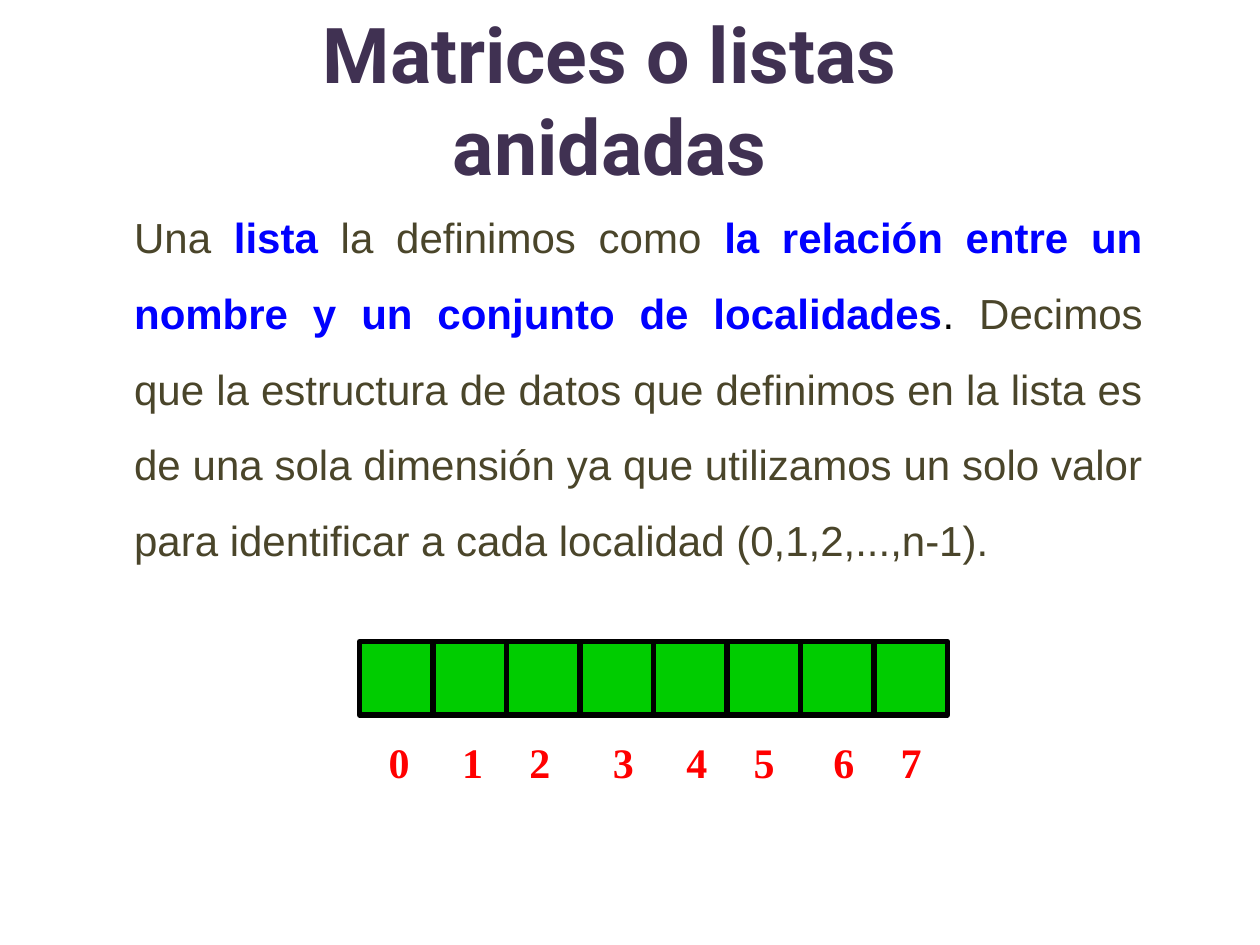
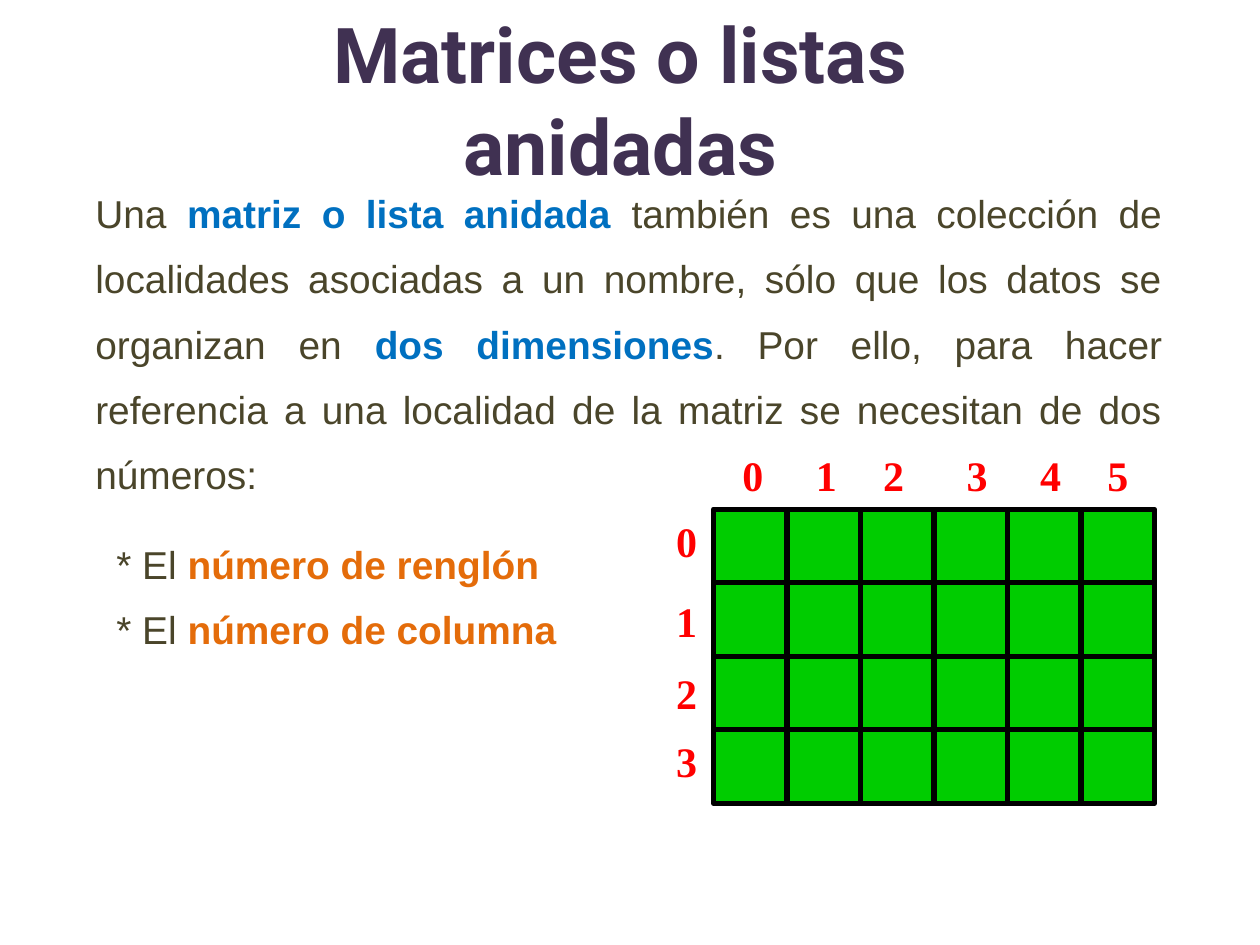
from dataclasses import dataclass

from pptx import Presentation
from pptx.dml.color import RGBColor
from pptx.enum.shapes import MSO_SHAPE
from pptx.enum.text import MSO_ANCHOR, MSO_AUTO_SIZE, PP_ALIGN
from pptx.util import Inches, Pt

COLUMNS, ROWS = 120, 90
CELL = 7
COLUMN_LABEL_SHIFTS = (1.56, 1.56, 0.96, 1.92, 1.92, 1.32, 1.92, 1.32)
ROW_LABEL_SHIFTS = (0, 0.6, 0.48, 0)
TITLE = "Matrices o listas anidadas"


@dataclass(frozen=True)
class Theme:
    title: str = "403152"
    body: str = "4A452A"
    black: str = "000000"
    white: str = "FFFFFF"
    list_term: str = "0000FF"
    matrix_term: str = "0070C0"
    index_term: str = "E46C0A"
    cell: str = "00CC00"
    index: str = "FF0000"
    title_font: str = "Roboto"
    body_font: str = "Arial"
    index_font: str = "Times New Roman"
    title_size: float = 44
    list_size: float = 24
    matrix_size: float = 22.2
    index_size: float = 24
    border: float = 3


class Deck:
    def __init__(self, theme):
        self.theme = theme
        self.presentation = Presentation()
        self.presentation.slide_width = Inches(10)
        self.presentation.slide_height = Inches(7.5)
        self.slide = None

    def add_slide(self):
        layout = self.presentation.slide_layouts[6]
        self.slide = self.presentation.slides.add_slide(layout)

    def place(self, column, row, width, height):
        column_width = self.presentation.slide_width / COLUMNS
        row_height = self.presentation.slide_height / ROWS
        return (round(column * column_width), round(row * row_height),
                round(width * column_width), round(height * row_height))

    def text_frame(self, *area):
        shape = self.slide.shapes.add_textbox(*self.place(*area))
        shape.text_frame.word_wrap = True
        return shape.text_frame

    def set_font(self, paragraph, name, size, color=None, bold=None):
        paragraph.font.name = name
        paragraph.font.size = Pt(size)
        paragraph.font.bold = bold
        if color:
            paragraph.font.color.rgb = RGBColor.from_string(color)

    def title(self, column):
        frame = self.text_frame(column, 4.4, 81.2, 10)
        frame.vertical_anchor = MSO_ANCHOR.MIDDLE
        paragraph = frame.paragraphs[0]
        paragraph.text = TITLE
        paragraph.alignment = PP_ALIGN.CENTER
        self.set_font(paragraph, self.theme.title_font, self.theme.title_size,
                      self.theme.title, True)

    def paragraph(self, paragraph, runs, size, spacing, indent=0, before=0):
        paragraph.alignment = PP_ALIGN.JUSTIFY
        paragraph.line_spacing = spacing
        paragraph.space_before = Pt(before)
        if indent:
            margin = self.place(indent, 0, 0, 0)[0]
            paragraph._p.get_or_add_pPr().set("marL", str(margin))
        self.set_font(paragraph, self.theme.body_font, size)
        for text, color, bold in runs:
            run = paragraph.add_run()
            run.text = text
            run.font.bold = bold
            run.font.color.rgb = RGBColor.from_string(color)

    def cells(self, left, top, columns, rows):
        for row in range(rows):
            for column in range(columns):
                area = self.place(left + column * CELL, top + row * CELL, CELL, CELL)
                shape = self.slide.shapes.add_shape(MSO_SHAPE.RECTANGLE, *area)
                shape.shadow.inherit = False
                shape.fill.solid()
                shape.fill.fore_color.rgb = RGBColor.from_string(self.theme.cell)
                shape.line.color.rgb = RGBColor.from_string(self.theme.black)
                shape.line.width = Pt(self.theme.border)

    def index(self, number, column, row, fill=None):
        shape = self.slide.shapes.add_textbox(*self.place(column, row, 4.4, 6))
        if fill:
            shape.fill.solid()
            shape.fill.fore_color.rgb = RGBColor.from_string(fill)
        frame = shape.text_frame
        frame.word_wrap = False
        frame.auto_size = MSO_AUTO_SIZE.SHAPE_TO_FIT_TEXT
        paragraph = frame.paragraphs[0]
        paragraph.text = str(number)
        paragraph.alignment = PP_ALIGN.CENTER
        self.set_font(paragraph, self.theme.index_font, self.theme.index_size,
                      self.theme.index, True)

    def column_indexes(self, left, top, count, fill=None):
        for number, shift in enumerate(COLUMN_LABEL_SHIFTS[:count]):
            self.index(number, left + number * CELL + shift, top, fill)

    def row_indexes(self, left, top):
        for number, shift in enumerate(ROW_LABEL_SHIFTS):
            self.index(number, left, top + number * CELL + shift)


def build_list_slide(deck):
    theme = deck.theme
    deck.add_slide()
    deck.title(17.5)
    frame = deck.text_frame(11.6, 17.2, 98.4, 44.9)
    deck.paragraph(frame.paragraphs[0], [
        ("Una ", theme.body, False),
        ("lista ", theme.list_term, True),
        ("la definimos como ", theme.body, False),
        ("la relación entre un nombre y un conjunto de localidades",
         theme.list_term, True),
        (". ", theme.black, False),
        ("Decimos que la estructura de datos que definimos en la lista es de "
         "una sola dimensión ya que utilizamos un solo valor para identificar "
         "a cada localidad (0,1,2,...,n-1).", theme.body, False),
    ], theme.list_size, 1.5)
    left = 34.25
    deck.cells(left, 61.1, 8, 1)
    deck.column_indexes(left, 69.6, 8, theme.white)


def build_matrix_slide(deck):
    theme = deck.theme
    deck.add_slide()
    frame = deck.text_frame(7.9, 15.7, 104, 49)
    deck.paragraph(frame.paragraphs[0], [
        ("Una ", theme.body, False),
        ("matriz o lista anidada", theme.matrix_term, True),
        (" también es una colección de localidades asociadas a un nombre, sólo "
         "que los datos se organizan en ", theme.body, False),
        ("dos dimensiones", theme.matrix_term, True),
        (". Por ello, para hacer referencia a una localidad de la matriz se "
         "necesitan de dos números:", theme.body, False),
    ], theme.matrix_size, 1.4)
    for term, before in (("número de renglón", 14), ("número de columna", 0)):
        deck.paragraph(frame.add_paragraph(), [
            ("* El ", theme.body, False),
            (term, theme.index_term, True),
        ], theme.matrix_size, 1.4, indent=2, before=before)
    left, top = 67.95, 48.5
    deck.column_indexes(left, 42.2, 6)
    deck.cells(left, top, 6, 4)
    deck.row_indexes(63.2, top)
    deck.title(18.5)


def main():
    deck = Deck(Theme())
    build_list_slide(deck)
    build_matrix_slide(deck)
    deck.presentation.save("out.pptx")


if __name__ == "__main__":
    main()
